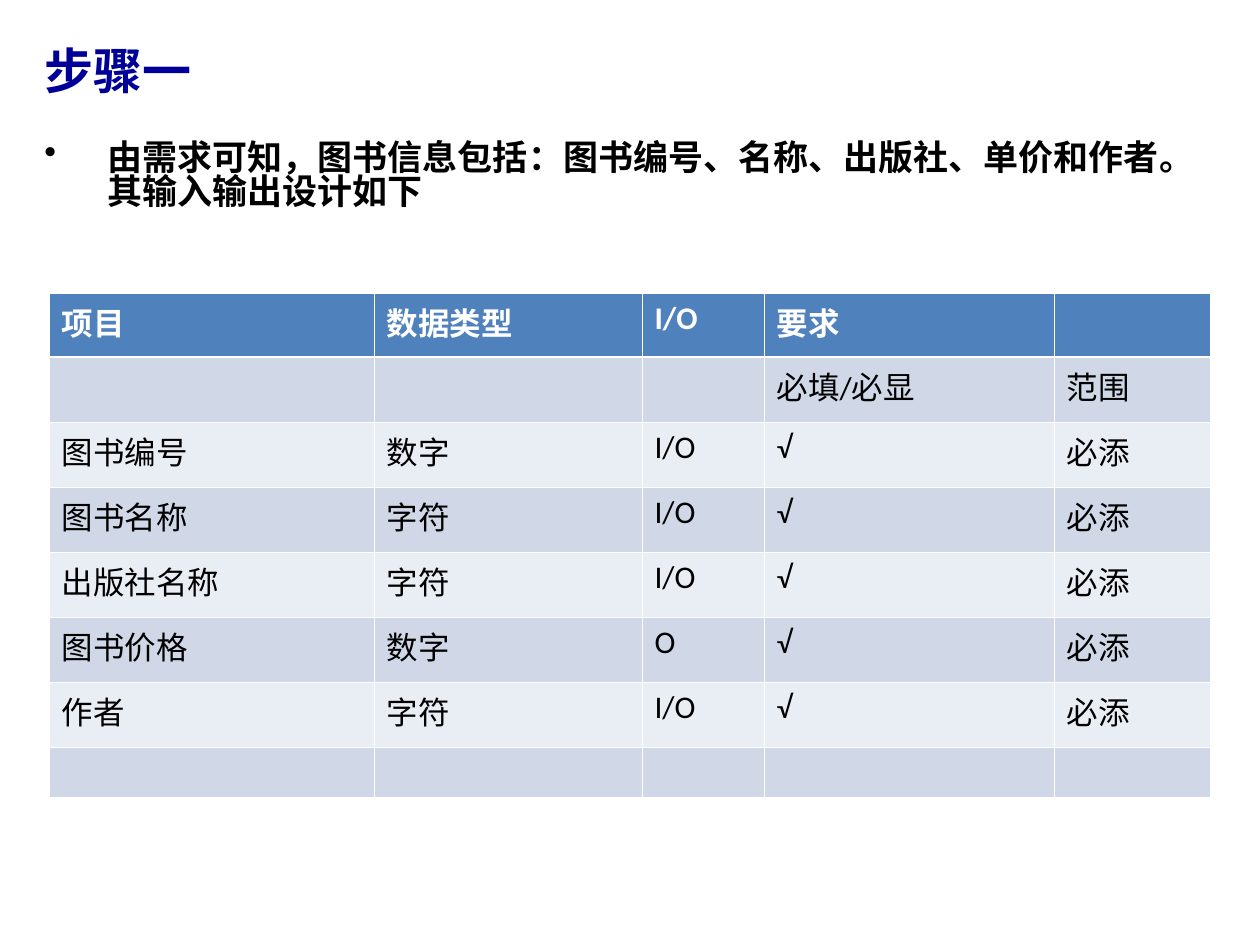
from lxml import etree
from pptx import Presentation
from pptx.dml.color import RGBColor
from pptx.enum.text import MSO_ANCHOR
from pptx.oxml.ns import qn
from pptx.util import Emu, Pt

MIDDLE, TOP = MSO_ANCHOR.MIDDLE, MSO_ANCHOR.TOP

NAVY = RGBColor(0x00, 0x00, 0x99)
BLACK = RGBColor(0x00, 0x00, 0x00)
WHITE = RGBColor(0xFF, 0xFF, 0xFF)
HEADER_BLUE = RGBColor(0x4F, 0x81, 0xBD)
BAND_DARK = RGBColor(0xD0, 0xD8, 0xE8)
BAND_LIGHT = RGBColor(0xE9, 0xED, 0xF4)

PX_PER_INCH = 126
THIN, THICK = Pt(0.45), Pt(1.47)

COLUMN_WIDTHS = [325, 268, 122, 290, 156]
ROW_HEIGHTS = [64] + [65] * 6 + [50]
FIELDS = [
    ("项目", "数据类型", "I/O", "要求", ""),
    ("", "", "", "必填/必显", "范围"),
    ("图书编号", "数字", "I/O", "√", "必添"),
    ("图书名称", "字符", "I/O", "√", "必添"),
    ("出版社名称", "字符", "I/O", "√", "必添"),
    ("图书价格", "数字", "O", "√", "必添"),
    ("作者", "字符", "I/O", "√", "必添"),
    ("", "", "", "", ""),
]


def px(length):
    return Emu(round(length * 914400 / PX_PER_INCH))


def set_font(paragraph, name, size, color, bold):
    font = paragraph.font
    font.name, font.size, font.bold = name, Pt(size), bold
    font.color.rgb = color


def add_text(slide, box, text, size, color, anchor):
    frame = slide.shapes.add_textbox(*map(px, box)).text_frame
    frame.word_wrap = True
    frame.vertical_anchor = anchor
    paragraph = frame.paragraphs[0]
    paragraph.text = text
    set_font(paragraph, "Arial", size, color, True)
    return paragraph


def add_bullet(paragraph, indent):
    properties = paragraph._p.get_or_add_pPr()
    properties.set("marL", str(px(indent)))
    properties.set("indent", str(-px(indent)))
    bullet = etree.Element(qn("a:buChar"), char="•")
    properties.insert_element_before(bullet, "a:tabLst", "a:defRPr", "a:extLst")


def set_borders(cell, top, bottom):
    properties = cell._tc.get_or_add_tcPr()
    widths = {"a:lnL": THIN, "a:lnR": THIN, "a:lnT": top, "a:lnB": bottom}
    for index, (side, width) in enumerate(widths.items()):
        line = etree.Element(qn(side), w=str(width))
        fill = etree.SubElement(line, qn("a:solidFill"))
        etree.SubElement(fill, qn("a:srgbClr"), val=str(WHITE))
        properties.insert(index, line)


def add_field_table(slide, left, top):
    table = slide.shapes.add_table(
        len(FIELDS), len(COLUMN_WIDTHS), px(left), px(top),
        px(sum(COLUMN_WIDTHS)), px(sum(ROW_HEIGHTS))).table
    for column, width in zip(table.columns, COLUMN_WIDTHS):
        column.width = px(width)
    for row_index, (row, height, texts) in enumerate(
            zip(table.rows, ROW_HEIGHTS, FIELDS)):
        row.height = px(height)
        is_header = row_index == 0
        band = BAND_DARK if row_index % 2 else BAND_LIGHT
        for cell, text in zip(row.cells, texts):
            cell.fill.solid()
            cell.fill.fore_color.rgb = HEADER_BLUE if is_header else band
            set_borders(cell, THICK if row_index == 1 else THIN,
                        THICK if is_header else THIN)
            cell.text = text
            set_font(cell.text_frame.paragraphs[0], "Calibri", 18,
                     WHITE if is_header else BLACK, is_header)


def main():
    presentation = Presentation()
    presentation.slide_width, presentation.slide_height = px(1260), px(945)
    slide = presentation.slides.add_slide(presentation.slide_layouts[6])

    # Title
    add_text(slide, (32, 28, 1134, 84), "步骤一", 28, NAVY, MIDDLE)

    # Requirement summary
    summary = add_text(
        slide, (32, 136, 1171, 697),
        "由需求可知，图书信息包括：图书编号、名称、出版社、单价和作者。其输入输出设计如下",
        20, BLACK, TOP)
    add_bullet(summary, 63)
    summary.line_spacing = 0.83

    # Input and output design of the book fields
    add_field_table(slide, 49, 293)

    presentation.save("out.pptx")


if __name__ == "__main__":
    main()
